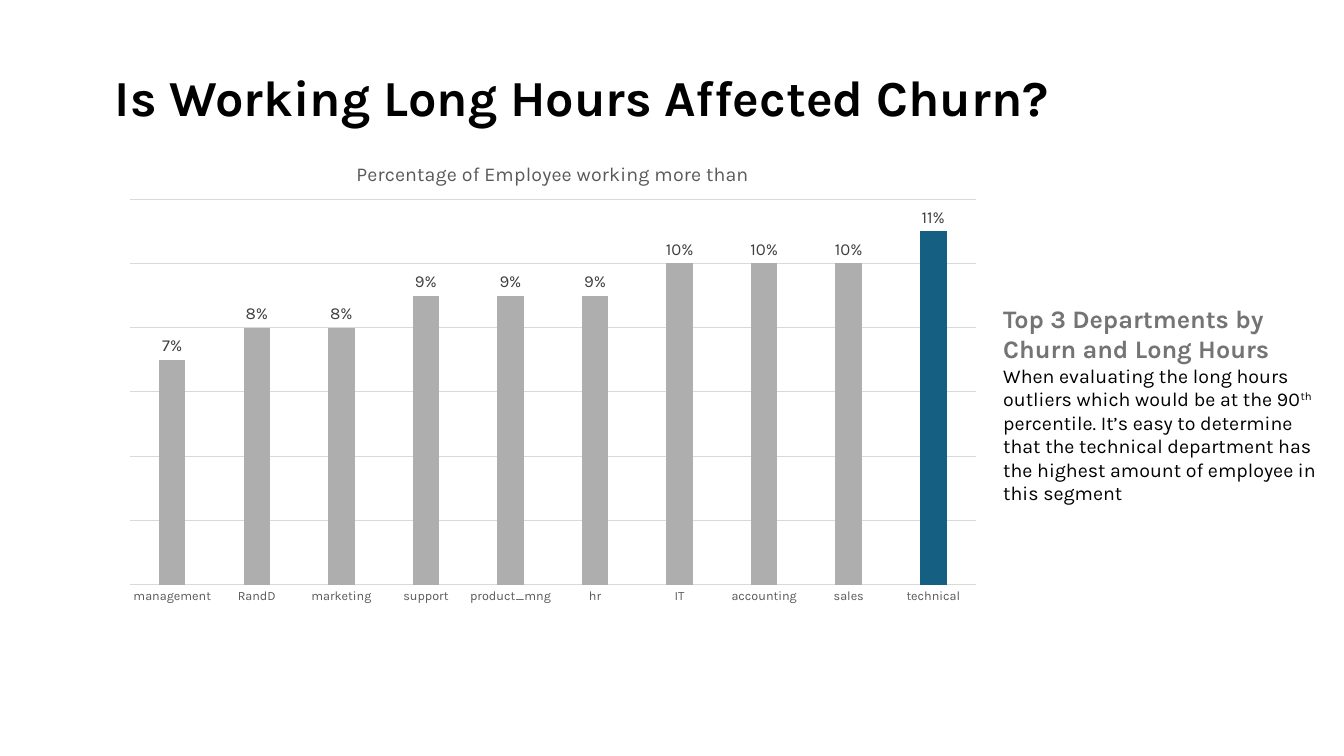
from dataclasses import dataclass

from lxml.etree import SubElement
from pptx import Presentation
from pptx.chart.data import CategoryChartData
from pptx.dml.color import RGBColor
from pptx.enum.chart import XL_CHART_TYPE, XL_LABEL_POSITION, XL_TICK_MARK
from pptx.enum.text import MSO_AUTO_SIZE
from pptx.oxml.ns import qn
from pptx.util import Pt

PX = 9525


@dataclass(frozen=True)
class Theme:
    """Hold the colours, type sizes and font of the slide."""

    font: str = "Karla"
    ink: str = "000000"
    heading: str = "747474"
    chart_title: str = "595959"
    label: str = "404040"
    grid: str = "D9D9D9"
    bar: str = "AEAEAE"
    highlight: str = "156082"
    title_size: int = 36
    heading_size: int = 18
    body_size: int = 14
    label_size: int = 12
    category_size: int = 9


THEME = Theme()
LONG_HOURS_SHARE = {
    "management": 0.07,
    "RandD": 0.08,
    "marketing": 0.08,
    "support": 0.09,
    "product_mng": 0.09,
    "hr": 0.09,
    "IT": 0.1,
    "accounting": 0.1,
    "sales": 0.1,
    "technical": 0.11,
}


def emu(box):
    """Turn a box in px into EMU."""
    return [length * PX for length in box]


def style_font(font, size, color, bold=False):
    """Give a font its face, size, colour and weight."""
    font.name = THEME.font
    font.size = Pt(size)
    font.bold = bold
    font.color.rgb = RGBColor.from_string(color)


def add_text(paragraph, text, *, size, color, bold=False, raised=False):
    """Append a formatted run to a paragraph."""
    run = paragraph.add_run()
    run.text = text
    style_font(run.font, size, color, bold)
    if raised:
        run.font._element.set("baseline", "30000")


def add_frame(slide, box):
    """Add a wrapping text box and return its frame."""
    frame = slide.shapes.add_textbox(*emu(box)).text_frame
    frame.word_wrap = True
    frame.auto_size = MSO_AUTO_SIZE.SHAPE_TO_FIT_TEXT
    return frame


def add_title(slide, box):
    """Place the slide title."""
    add_text(add_frame(slide, box).paragraphs[0], "Is Working Long Hours Affected Churn?",
             size=THEME.title_size, color=THEME.ink, bold=True)


def fix_plot_area(chart, **fractions):
    """Set the inner plot area as fractions of the chart."""
    plot_area = chart._chartSpace.chart.plotArea
    layout = plot_area.find(qn("c:layout"))
    if layout is None:
        layout = SubElement(plot_area, qn("c:layout"))
        plot_area.insert(0, layout)
    manual = SubElement(layout, qn("c:manualLayout"))
    settings = {"layoutTarget": "inner", "xMode": "edge", "yMode": "edge", **fractions}
    for tag, value in settings.items():
        SubElement(manual, qn(f"c:{tag}")).set("val", str(value))


def style_axes(chart):
    """Show categories and gridlines, and hide the value scale."""
    departments, shares = chart.category_axis, chart.value_axis
    departments.major_tick_mark = XL_TICK_MARK.NONE
    style_font(departments.tick_labels.font, THEME.category_size, THEME.chart_title)
    shares.visible = False
    shares.minimum_scale, shares.maximum_scale, shares.major_unit = 0, 0.12, 0.02
    shares.has_major_gridlines = True
    for line in (departments.format.line, shares.major_gridlines.format.line):
        line.color.rgb = RGBColor.from_string(THEME.grid)
        line.width = Pt(0.75)


def style_bars(plot):
    """Colour the bars, stress the last one and label each."""
    plot.gap_width, plot.overlap, plot.vary_by_categories = 219, -27, False
    bars = plot.series[0]
    last = bars.points[len(LONG_HOURS_SHARE) - 1]
    for part, color in ((bars, THEME.bar), (last, THEME.highlight)):
        part.format.fill.solid()
        part.format.fill.fore_color.rgb = RGBColor.from_string(color)
    labels = bars.data_labels
    labels.show_value = True
    labels.position = XL_LABEL_POSITION.OUTSIDE_END
    labels.number_format, labels.number_format_is_linked = "0%", False
    style_font(labels.font, THEME.label_size, THEME.label)


def add_department_chart(slide, box):
    """Place the column chart of long hours by department."""
    chart_data = CategoryChartData(number_format="0%")
    chart_data.categories = LONG_HOURS_SHARE.keys()
    chart_data.add_series("Series 1", LONG_HOURS_SHARE.values())
    chart = slide.shapes.add_chart(XL_CHART_TYPE.COLUMN_CLUSTERED, *emu(box), chart_data).chart
    chart.has_legend = False
    style_font(chart.font, THEME.category_size, THEME.ink)
    chart.has_title = True
    add_text(chart.chart_title.text_frame.paragraphs[0],
             "Percentage of Employee working more than",
             size=THEME.body_size, color=THEME.chart_title)
    chart.chart_title.include_in_layout = False
    fix_plot_area(chart, x=0.02, y=0.12, w=0.96, h=0.82)
    style_axes(chart)
    style_bars(chart.plots[0])


def add_commentary(slide, box):
    """Place the heading and the reading of the chart."""
    frame = add_frame(slide, box)
    add_text(frame.paragraphs[0], "Top 3 Departments by Churn and Long Hours",
             size=THEME.heading_size, color=THEME.heading, bold=True)
    finding = frame.add_paragraph()
    body = {"size": THEME.body_size, "color": THEME.ink}
    add_text(finding, "When evaluating the long hours outliers which would be at the 90", **body)
    add_text(finding, "th", raised=True, **body)
    add_text(finding, " percentile. It’s easy to determine that the technical department "
             "has the highest amount of employee in this segment", **body)


def main():
    """Build the slide and save it."""
    deck = Presentation()
    deck.slide_width, deck.slide_height = emu((1280, 720))
    slide = deck.slides.add_slide(deck.slide_layouts[6])
    add_title(slide, (100, 58, 1073, 68))
    add_department_chart(slide, (107, 136, 839, 448))
    add_commentary(slide, (946, 284, 324, 204))
    deck.save("out.pptx")


if __name__ == "__main__":
    main()
